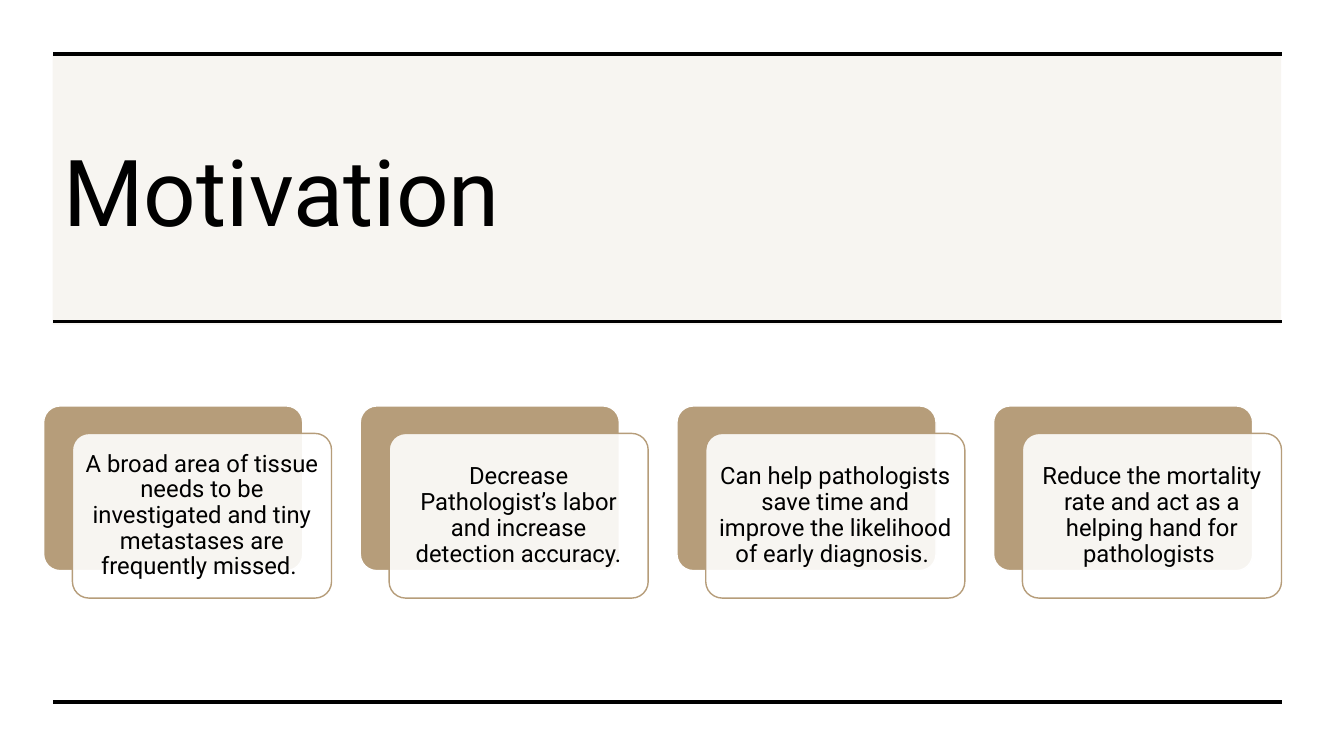
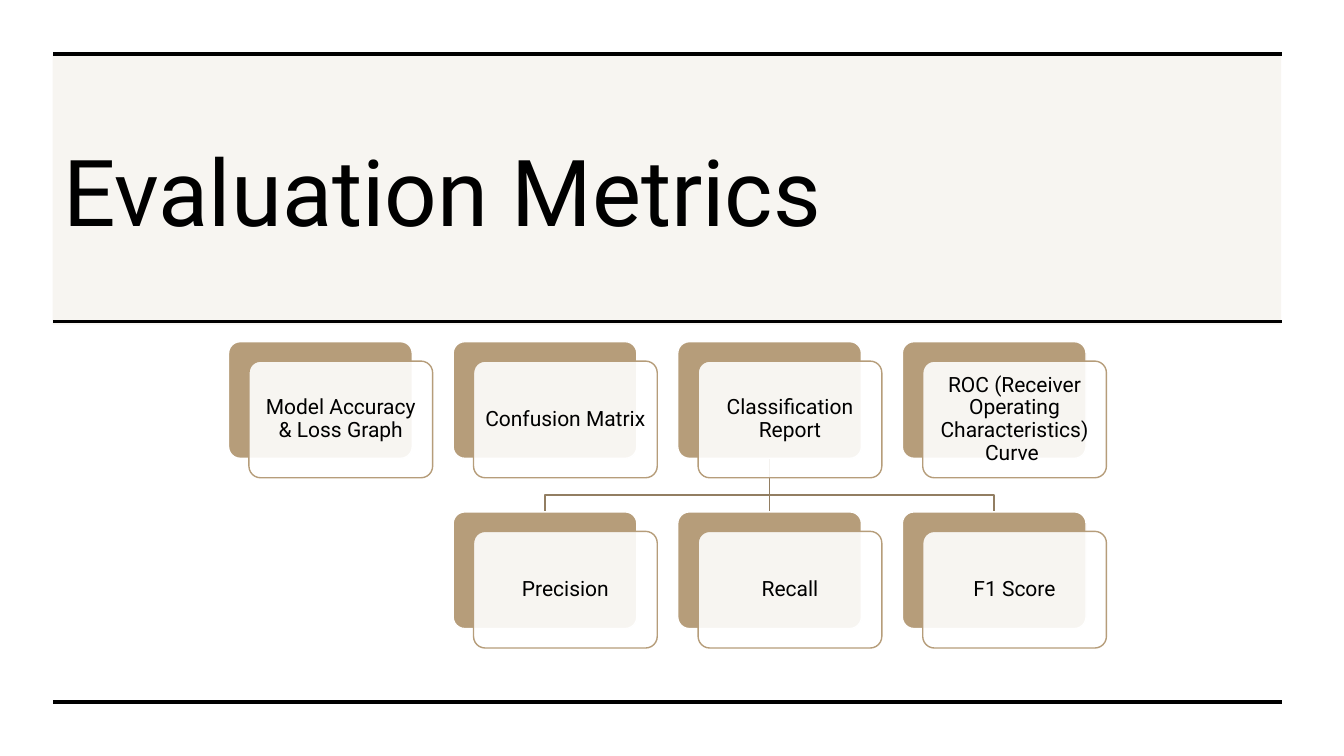
from dataclasses import dataclass

from lxml.etree import SubElement
from pptx import Presentation
from pptx.dml.color import RGBColor
from pptx.enum.shapes import MSO_CONNECTOR, MSO_SHAPE
from pptx.enum.text import MSO_ANCHOR, PP_ALIGN
from pptx.oxml.ns import qn
from pptx.util import Cm, Pt


@dataclass(frozen=True)
class Theme:
    """Colours, font and type sizes of the deck."""
    font: str = "Roboto"
    ink: str = "000000"
    paper: str = "FFFFFF"
    accent: str = "B69D7A"
    branch: str = "927E62"
    title_size: int = 66
    rule_width: float = 2.25
    outline_width: float = 1
    band_alpha: int = 10
    card_alpha: int = 90


@dataclass(frozen=True)
class Grid:
    """Places cards by column and row, in centimetres."""
    left: float
    top: float
    pitch_x: float
    pitch_y: float
    width: float
    height: float
    inset: float
    size: int

    def corner(self, col, row):
        """Return the top left corner of a cell."""
        return self.left + col * self.pitch_x, self.top + row * self.pitch_y


THEME = Theme()
RULE_LEFT, RULE_RIGHT = 1.34, 32.31
RULE_TOPS = (1.36, 8.1, 17.69)

MOTIVATION_GRID = Grid(1.1, 10.23, 7.98, 0, 6.53, 4.15, 0.18, 17)
MOTIVATION = (
    "A broad area of tissue needs to be investigated and tiny metastases are frequently missed. ",
    "Decrease Pathologist’s labor and increase detection accuracy.",
    "Can help pathologists save time and improve the likelihood of early diagnosis. ",
    "Reduce the mortality rate and act as a helping hand for pathologists ",
)
METRICS_GRID = Grid(5.76, 8.61, 5.66, 4.29, 4.63, 2.94, 0.15, 15)
METRICS = (
    "Model Accuracy & Loss Graph",
    "Confusion Matrix",
    "Classification Report",
    "ROC (Receiver Operating Characteristics) Curve ",
)
REPORT_COL = 2
REPORT_PARTS = {1: "Precision", 2: "Recall", 3: "F1 Score"}


def set_all(target, values):
    """Set attributes from a dict of format values."""
    for name, value in values.items():
        setattr(target, name, value)


def style_font(font, size):
    """Apply the deck's font at a given size."""
    set_all(font, {"name": THEME.font, "size": Pt(size)})
    font.color.rgb = RGBColor.from_string(THEME.ink)


def style_line(line, color, width):
    """Apply a solid line."""
    line.color.rgb = RGBColor.from_string(color)
    line.width = Pt(width)


def add_box(s, preset, box, fill, line=None, alpha=100):
    """Add a filled preset shape, optionally outlined and translucent."""
    sp = s.shapes.add_shape(preset, *map(Cm, box))
    sp.shadow.inherit = False
    sp.fill.solid()
    sp.fill.fore_color.rgb = RGBColor.from_string(fill)
    if alpha < 100:
        color = sp.fill._xPr.find(qn("a:solidFill"))[0]
        SubElement(color, qn("a:alpha"), val=str(alpha * 1000))
    if line:
        style_line(sp.line, line, THEME.outline_width)
    else:
        sp.line.fill.background()
    return sp


def add_line(s, start, end, color, width):
    """Add a straight line without shadow."""
    line = s.shapes.add_connector(MSO_CONNECTOR.STRAIGHT, *map(Cm, start + end))
    style_line(line.line, color, width)
    SubElement(line._element.spPr, qn("a:effectLst"))


def add_elbow(s, points):
    """Add an open angled branch through the points."""
    first, *rest = [tuple(map(Cm, point)) for point in points]
    builder = s.shapes.build_freeform(*first)
    builder.add_line_segments(rest, close=False)
    sp = builder.convert_to_shape()
    sp.shadow.inherit = False
    sp.fill.background()
    style_line(sp.line, THEME.branch, THEME.outline_width)


def add_card(s, grid, col, row, text):
    """Add a tinted back plate and a text card shifted over it."""
    x, y = grid.corner(col, row)
    size = (grid.width, grid.height)
    plate = add_box(s, MSO_SHAPE.ROUNDED_RECTANGLE, (x, y, *size),
                    THEME.accent, THEME.paper)
    card = add_box(s, MSO_SHAPE.ROUNDED_RECTANGLE,
                   (x + grid.width / 9, y + grid.height / 6, *size),
                   THEME.paper, THEME.accent, THEME.card_alpha)
    for sp in (plate, card):
        sp.adjustments[0] = 0.1
    tf = card.text_frame
    margin = Cm(grid.inset)
    set_all(tf, {"word_wrap": True, "vertical_anchor": MSO_ANCHOR.MIDDLE,
                 "margin_left": margin, "margin_right": margin,
                 "margin_top": margin, "margin_bottom": margin})
    p = tf.paragraphs[0]
    set_all(p, {"text": text, "alignment": PP_ALIGN.CENTER, "line_spacing": 0.9})
    style_font(p.runs[0].font, grid.size)


def add_branches(s, grid, parent_col, child_cols):
    """Join a card in the first row to cards in the second."""
    def center(col):
        """Return the middle of a column."""
        return grid.corner(col, 0)[0] + grid.width / 2

    start = (center(parent_col), grid.top + grid.height)
    child_top = grid.corner(0, 1)[1]
    bend = child_top - 0.43
    for col in child_cols:
        x = center(col)
        if col == parent_col:
            add_line(s, start, (x, child_top), THEME.branch, THEME.outline_width)
        else:
            add_elbow(s, (start, (start[0], bend), (x, bend), (x, child_top)))


def add_titled_slide(prs, text):
    """Add a slide with the shared band, rules and title."""
    s = prs.slides.add_slide(prs.slide_layouts[5])
    band = add_box(s, MSO_SHAPE.RECTANGLE, (1.33, 1.35, 30.96, 6.83),
                   THEME.accent, alpha=THEME.band_alpha)
    title = s.shapes.title
    title._element.addprevious(band._element)
    set_all(title, {"left": Cm(1.34), "top": Cm(2.7),
                    "width": Cm(28.78), "height": Cm(4.14)})
    tf = title.text_frame
    set_all(tf, {"word_wrap": True, "vertical_anchor": MSO_ANCHOR.MIDDLE})
    p = tf.paragraphs[0]
    set_all(p, {"text": text, "alignment": PP_ALIGN.LEFT})
    style_font(p.runs[0].font, THEME.title_size)
    for y in RULE_TOPS:
        add_line(s, (RULE_LEFT, y), (RULE_RIGHT, y), THEME.ink, THEME.rule_width)
    return s


def main():
    """Build and save the deck."""
    prs = Presentation()
    set_all(prs, {"slide_width": Cm(33.87), "slide_height": Cm(19.05)})

    s = add_titled_slide(prs, "Motivation")
    for col, text in enumerate(MOTIVATION):
        add_card(s, MOTIVATION_GRID, col, 0, text)

    s = add_titled_slide(prs, "Evaluation Metrics")
    add_branches(s, METRICS_GRID, REPORT_COL, REPORT_PARTS)
    for row, cards in enumerate((dict(enumerate(METRICS)), REPORT_PARTS)):
        for col, text in cards.items():
            add_card(s, METRICS_GRID, col, row, text)

    prs.save("out.pptx")


if __name__ == "__main__":
    main()
